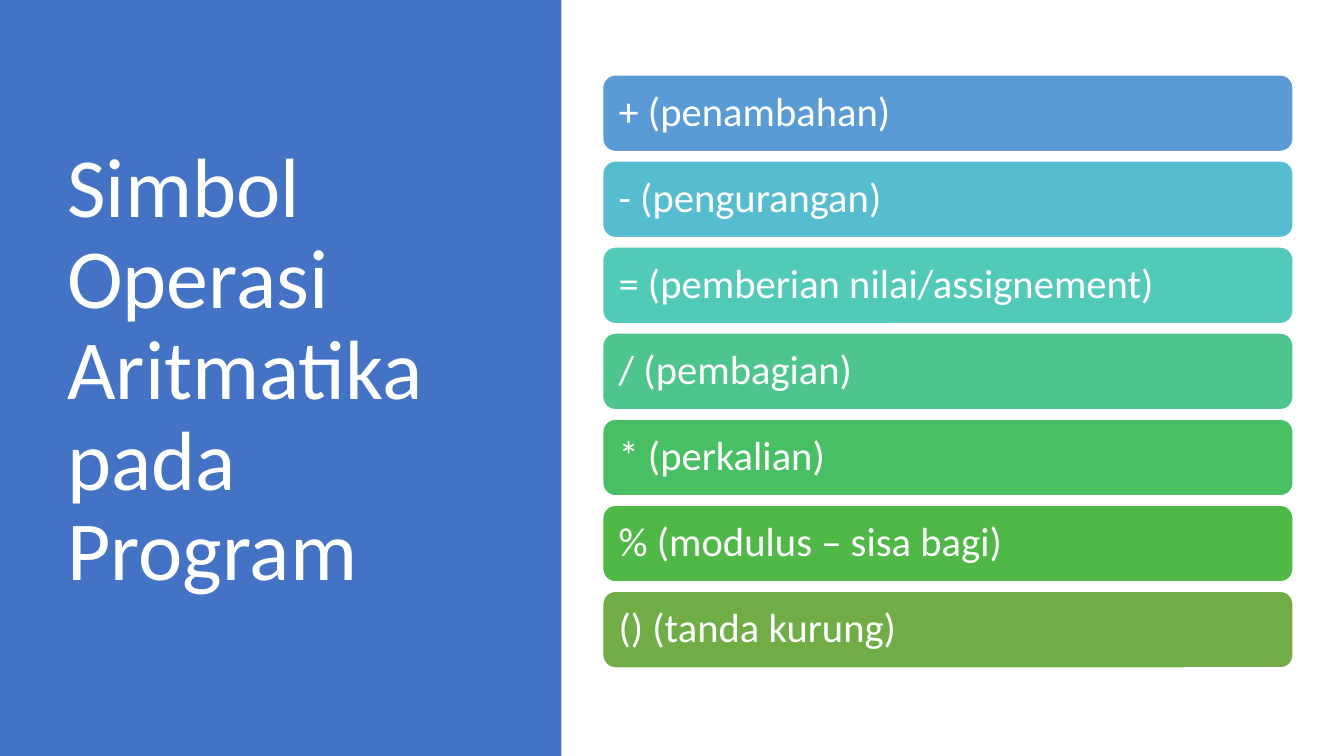
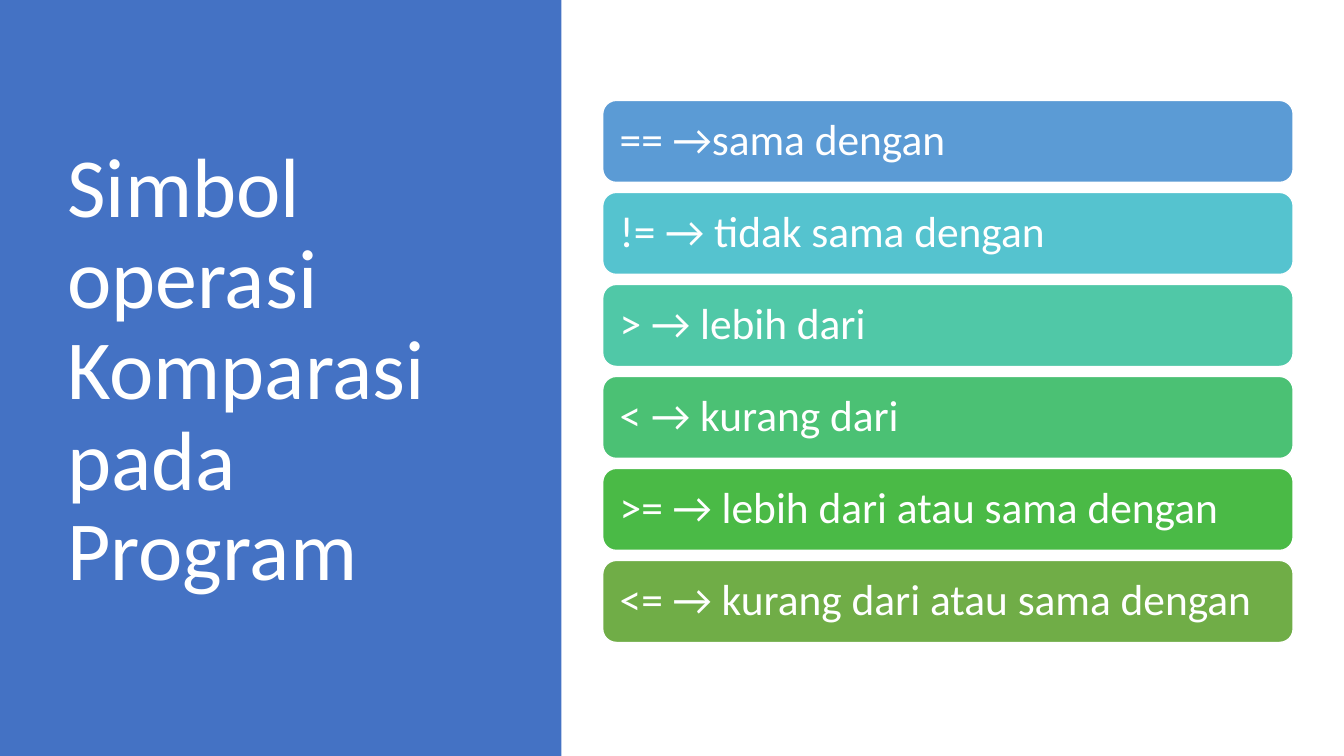
"""Builds two slides of operator symbols, each a title panel beside a stack of bars."""
from pptx import Presentation
from pptx.dml.color import RGBColor
from pptx.enum import shapes, text
from pptx.util import Pt

PANEL_COLOUR, WHITE = "4472C4", "FFFFFF"
FONT = "Calibri"
SLIDE_WIDTH, SLIDE_HEIGHT = 960, 540
PANEL_WIDTH = 401
TITLE_BOX = (41, 49, 299.5, 433.5)
TITLE_SIZE = 60
BAR_LEFT, BAR_WIDTH, STACK_CENTRE = 430.5, 493.2, 265.3
HEIGHT_RATIO, GAP_RATIO, INSET_RATIO = 1.89, 0.23, 0.3

SLIDES = [
    ("Simbol Operasi Aritmatika pada Program", 29, [
        ("+ (penambahan)", "5B9BD5"),
        ("- (pengurangan)", "56BCD0"),
        ("= (pemberian nilai/assignement)", "52CAB8"),
        ("/ (pembagian)", "4DC58D"),
        ("* (perkalian)", "49BF64"),
        ("% (modulus – sisa bagi)", "50B846"),
        ("() (tanda kurung)", "70AD47"),
    ]),
    ("Simbol operasi Komparasi pada Program", 31, [
        ("== →sama dengan", "5B9BD5"),
        ("!= → tidak sama dengan", "55C3CF"),
        ("> → lebih dari", "50C8A7"),
        ("< → kurang dari", "4BC174"),
        (">= → lebih dari atau sama dengan", "4ABA46"),
        ("<= → kurang dari atau sama dengan", "70AD47"),
    ]),
]


def colour(value):
    return RGBColor.from_string(value)


def set_all(target, values):
    for name, value in values.items():
        setattr(target, name, value)


def write(shape, words, size, **margins):
    frame = shape.text_frame
    set_all(frame, {"word_wrap": True, "vertical_anchor": text.MSO_ANCHOR.MIDDLE, **margins})
    paragraph = frame.paragraphs[0]
    set_all(paragraph, {"text": words, "alignment": text.PP_ALIGN.LEFT, "line_spacing": 0.9})
    font = paragraph.runs[0].font
    set_all(font, {"name": FONT, "size": Pt(size)})
    font.color.rgb = colour(WHITE)


def add_block(slide, kind, box, fill):
    shape = slide.shapes.add_shape(kind, *map(Pt, box))
    shape.shadow.inherit = False
    shape.fill.solid()
    shape.fill.fore_color.rgb = colour(fill)
    return shape


def add_title_panel(slide, title):
    panel = add_block(slide, shapes.MSO_SHAPE.RECTANGLE, (0, 0, PANEL_WIDTH, SLIDE_HEIGHT), PANEL_COLOUR)
    panel.line.fill.background()
    write(slide.shapes.add_textbox(*map(Pt, TITLE_BOX)), title, TITLE_SIZE)


def add_bars(slide, bars, size):
    height, gap, inset = (size * ratio for ratio in (HEIGHT_RATIO, GAP_RATIO, INSET_RATIO))
    pitch = height + gap
    top = STACK_CENTRE - (len(bars) * pitch - gap) / 2
    sides = ("left", "top", "right", "bottom")
    margins = {f"margin_{side}": Pt(inset) for side in sides}
    for index, (words, fill) in enumerate(bars):
        box = (BAR_LEFT, top + index * pitch, BAR_WIDTH, height)
        bar = add_block(slide, shapes.MSO_SHAPE.ROUNDED_RECTANGLE, box, fill)
        bar.line.color.rgb = colour(WHITE)
        bar.line.width = Pt(1)
        write(bar, words, size, **margins)


presentation = Presentation()
set_all(presentation, {"slide_width": Pt(SLIDE_WIDTH), "slide_height": Pt(SLIDE_HEIGHT)})
for title, size, bars in SLIDES:
    slide = presentation.slides.add_slide(presentation.slide_layouts[6])
    add_title_panel(slide, title)
    add_bars(slide, bars, size)
presentation.save("out.pptx")
